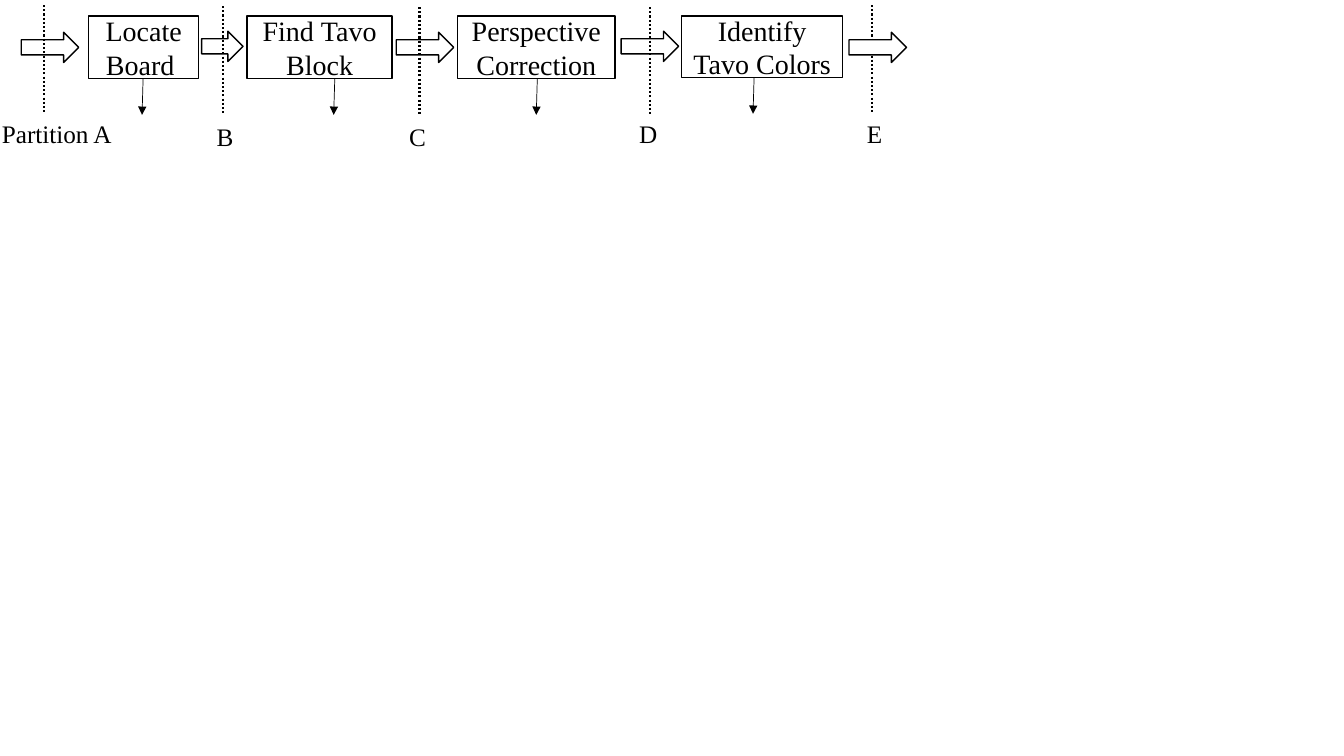
"""Build the board-reading pipeline slide with its partition lines."""
from dataclasses import dataclass

from lxml.etree import SubElement
from pptx import Presentation
from pptx.dml.color import RGBColor
from pptx.enum.dml import MSO_LINE
from pptx.enum.shapes import MSO_CONNECTOR, MSO_SHAPE
from pptx.enum.text import MSO_ANCHOR, MSO_AUTO_SIZE, PP_ALIGN
from pptx.oxml.ns import qn
from pptx.util import Inches, Pt


@dataclass(frozen=True)
class Theme:
    font: str = "Times New Roman"
    ink: RGBColor = RGBColor(0, 0, 0)
    paper: RGBColor = RGBColor(255, 255, 255)
    stage_size: Pt = Pt(20)
    label_size: Pt = Pt(18)
    outline: Pt = Pt(1)
    thin: Pt = Pt(0.5)
    divider: Pt = Pt(1.5)


theme = Theme()
deck = Presentation()
deck.slide_width, deck.slide_height = Inches(13.33), Inches(7.5)
column, row = deck.slide_width / 100, deck.slide_height / 100
page = deck.slides.add_slide(deck.slide_layouts[6])


def add_block(kind, left, top, width, height, text="", size=theme.label_size):
    """Add an outlined shape, or a text box when kind is None."""
    place = [int(left * column), int(top * row), int(width * column), int(height * row)]
    if kind is None:
        box = page.shapes.add_textbox(*place)
    else:
        box = page.shapes.add_shape(kind, *place)
        box.shadow.inherit = False
        box.fill.solid()
        box.fill.fore_color.rgb = theme.paper
        box.line.color.rgb = theme.ink
        box.line.width = theme.outline
    box.text_frame.word_wrap = True
    if text:
        span = box.text_frame.paragraphs[0].add_run()
        span.text = text
        span.font.name, span.font.size = theme.font, size
        span.font.color.rgb = theme.ink
    return box


def add_line(start_x, start_y, end_x, end_y, width):
    """Add a straight ink line without a shadow."""
    line = page.shapes.add_connector(
        MSO_CONNECTOR.STRAIGHT,
        int(start_x * column), int(start_y * row), int(end_x * column), int(end_y * row))
    line.line.color.rgb = theme.ink
    line.line.width = width
    SubElement(line._element.spPr, qn("a:effectLst"))
    return line


stage_top, output_length, output_slant = 2.13, 4.8, 0.08
stages = [
    ("Locate Board\u00a0", 6.6, 8.18, 8.27, 10.65),
    ("Find\u00a0Tavo Block", 18.38, 10.8, 8.27, 24.91),
    ("Perspective Correction", 34.06, 11.7, 8.27, 39.98),
    ("Identify Tavo Colors", 50.71, 12, 8.13, 56.11),
]
for text, left, width, height, output_x in stages:
    box = add_block(MSO_SHAPE.RECTANGLE, left, stage_top, width, height,
                    text, theme.stage_size)
    box.text_frame.vertical_anchor = MSO_ANCHOR.MIDDLE
    box.text_frame.paragraphs[0].alignment = PP_ALIGN.CENTER
    bottom = stage_top + height
    output = add_line(output_x, bottom, output_x - output_slant,
                      bottom + output_length, theme.thin)
    SubElement(output.line._get_or_add_ln(), qn("a:tailEnd"), type="triangle")

arrow_height, divider_length, label_height = 4, 14.4, 5.33
arrows = [(1.58, 4.27, 4.28), (15, 4.13, 3.08), (29.48, 4.27, 4.28),
          (46.21, 4.13, 4.28), (63.17, 4.27, 4.28)]
dividers = [(3.3, 0.67), (16.58, 0.8), (31.21, 0.93), (48.39, 0.93), (64.89, 0.67)]
labels = [("Partition A", -0.6, 14.93, 9.98), ("B", 15.38, 15.33, 2.48),
          ("C", 29.71, 15.33, 3), ("D", 46.81, 14.93, 3), ("E", 63.77, 14.93, 3)]

for left, top, width in arrows[:-1]:
    add_block(MSO_SHAPE.RIGHT_ARROW, left, top, width, arrow_height)
for x, top in dividers:
    divider = add_line(x, top, x, top + divider_length, theme.divider)
    divider.line.dash_style = MSO_LINE.ROUND_DOT
left, top, width = arrows[-1]
add_block(MSO_SHAPE.RIGHT_ARROW, left, top, width, arrow_height)
for text, left, top, width in labels:
    label = add_block(None, left, top, width, label_height, text)
    label.text_frame.auto_size = MSO_AUTO_SIZE.SHAPE_TO_FIT_TEXT

deck.save("out.pptx")
